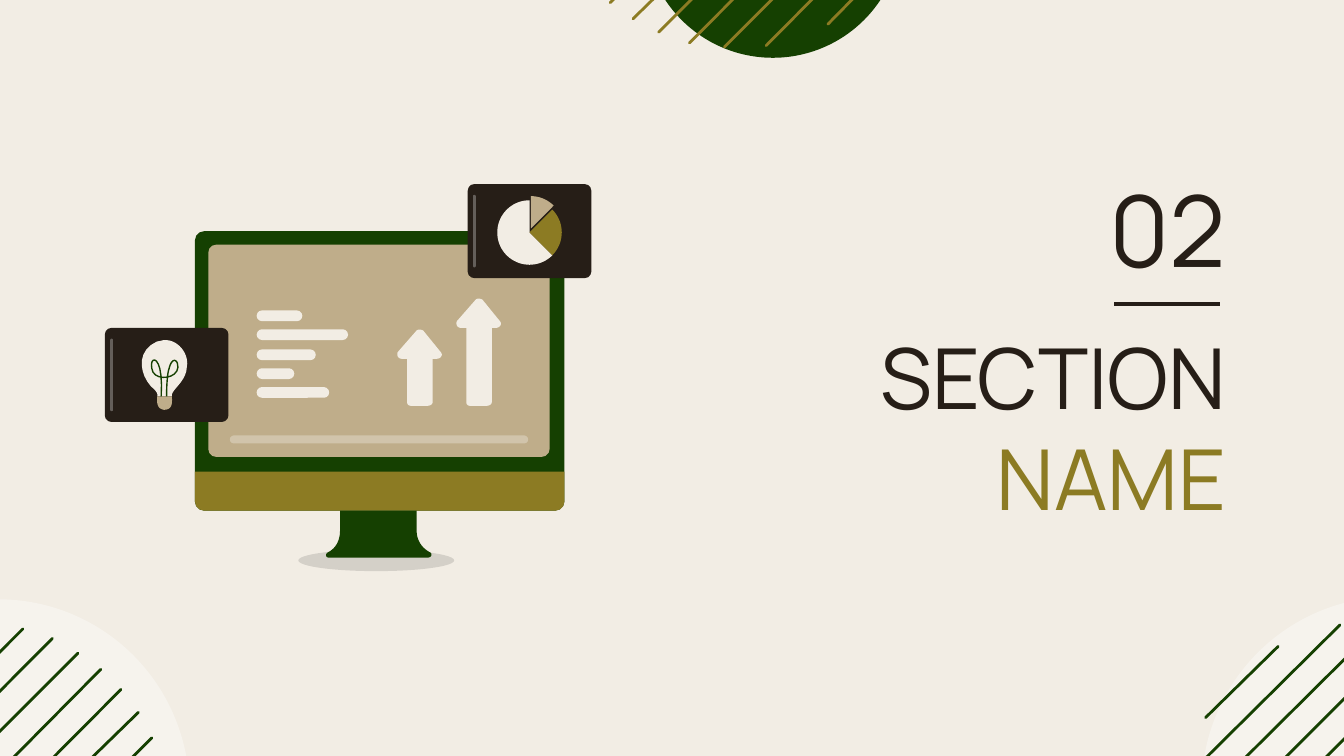
from math import cos, radians, sin

from lxml import etree
from pptx import Presentation
from pptx.dml.color import RGBColor
from pptx.enum.shapes import MSO_CONNECTOR, MSO_SHAPE
from pptx.enum.text import MSO_ANCHOR, PP_ALIGN
from pptx.oxml.ns import qn
from pptx.util import Inches, Pt

ELLIPSE = MSO_SHAPE.OVAL
ROUNDED = MSO_SHAPE.ROUNDED_RECTANGLE
ROUNDED_TOP = MSO_SHAPE.ROUND_2_SAME_RECTANGLE
STRAIGHT = MSO_CONNECTOR.STRAIGHT
TOP, MIDDLE = MSO_ANCHOR.TOP, MSO_ANCHOR.MIDDLE
RIGHT = PP_ALIGN.RIGHT

CREAM = RGBColor(0xF2, 0xED, 0xE4)
GREEN = RGBColor(0x15, 0x40, 0x01)
OLIVE = RGBColor(0x8C, 0x7B, 0x23)
TAN = RGBColor(0xBF, 0xAD, 0x8A)
DARK = RGBColor(0x26, 0x1E, 0x17)
WHITE = RGBColor(0xFF, 0xFF, 0xFF)
BLACK = RGBColor(0x00, 0x00, 0x00)

FONT = "Manrope"
NUMBER = [("02", DARK)]
TITLE = [("SECTION ", DARK), ("NAME", OLIVE)]

CORNERS = [
    ((-1.43, 4.46, 2.84, 2.86), WHITE, 36, GREEN, [
        (-1.54, 6.39, 0.17, 4.68), (-1.46, 6.61, 0.39, 4.75),
        (-1.36, 6.8, 0.58, 4.86), (-1.26, 7.01, 0.75, 4.98),
        (-1.02, 7.06, 0.9, 5.13), (-0.96, 7.24, 1.03, 5.3),
        (-0.73, 7.35, 1.13, 5.49)]),
    ((8.94, 4.44, 2.84, 2.86), WHITE, 36, GREEN, [
        (8.97, 5.34, 9.51, 4.81), (8.81, 5.8, 9.97, 4.65),
        (8.79, 6.11, 10.28, 4.63), (8.83, 6.37, 10.54, 4.66),
        (8.91, 6.59, 10.76, 4.74)]),
    ((4.79, -1.49, 1.92, 1.92), GREEN, 100, OLIVE, [
        (4.54, 0.02, 6.55, -1.97), (4.71, 0.14, 6.69, -1.79),
        (4.9, 0.24, 6.76, -1.61), (5.13, 0.32, 6.83, -1.39),
        (5.39, 0.35, 6.87, -1.13), (5.7, 0.34, 6.85, -0.82),
        (6.16, 0.18, 6.69, -0.36)]),
]

STAND = [(2.53, 3.95), (2.53, 3.8), (3.1, 3.8), (3.1, 3.95),
         (3.1, 4.02, 3.14, 4.08, 3.2, 4.11), (3.22, 4.12, 3.21, 4.15, 3.18, 4.15),
         (2.45, 4.15), (2.42, 4.15, 2.42, 4.12, 2.44, 4.11),
         (2.5, 4.08, 2.53, 4.02, 2.53, 3.95)]
BULB = [(1.23, 2.53), (1.21, 2.53, 1.19, 2.54, 1.17, 2.54),
        (0.99, 2.62, 1.05, 2.82, 1.15, 2.9), (1.18, 2.93, 1.17, 2.95, 1.17, 2.95),
        (1.28, 2.95), (1.26, 2.91, 1.39, 2.84, 1.39, 2.73),
        (1.41, 2.64, 1.33, 2.53, 1.23, 2.53)]
BULB_CAP = [(1.28, 2.95), (1.28, 2.99, 1.29, 3.05, 1.22, 3.05),
            (1.16, 3.04, 1.17, 2.98, 1.17, 2.95)]
FILAMENT = [(1.24, 2.95), (1.24, 2.95, 1.24, 2.78, 1.26, 2.74),
            (1.27, 2.69, 1.3, 2.66, 1.32, 2.7), (1.36, 2.82, 1.14, 2.85, 1.13, 2.74),
            (1.11, 2.64, 1.22, 2.63, 1.2, 2.95)]

TEXT_BARS = [(2.31, 0.34), (2.45, 0.68), (2.6, 0.44), (2.74, 0.28), (2.88, 0.54)]
ARROWS = [(2.95, 2.45), (3.39, 2.22)]
ARROW_BASE = 3.02
PIE_RADIUS = 0.24
PIE_SLICES = [(3.95, 1.7, -90, -45, TAN), (3.94, 1.73, 45, 270, CREAM),
              (3.94, 1.73, -45, 45, OLIVE)]

prs = Presentation()
prs.slide_width, prs.slide_height = Inches(10), Inches(10) * 9 // 16
slide = prs.slides.add_slide(prs.slide_layouts[6])
slide.background.fill.solid()
slide.background.fill.fore_color.rgb = CREAM


def paint(shape, color, opacity=100):
    shape.shadow.inherit = False
    shape.line.fill.background()
    shape.fill.solid()
    shape.fill.fore_color.rgb = color
    if opacity < 100:
        tint = shape._element.spPr.find(".//" + qn("a:srgbClr"))
        etree.SubElement(tint, qn("a:alpha"), val=str(opacity * 1000))


def add_preset(kind, box, color, opacity=100, radius=None):
    shape = slide.shapes.add_shape(kind, *map(Inches, box))
    if radius is not None:
        shape.adjustments[0] = radius / min(box[2:])
    paint(shape, color, opacity)
    return shape


def add_line(ends, color, width, cap="flat"):
    line = slide.shapes.add_connector(STRAIGHT, *map(Inches, ends))
    line.line.color.rgb = color
    line.line.width = Pt(width)
    properties = line._element.spPr
    properties.find(qn("a:ln")).set("cap", cap)
    etree.SubElement(properties, qn("a:effectLst"))


def flatten(outline, steps=10):
    points = [outline[0]]
    for part in outline[1:]:
        if len(part) == 2:
            points.append(part)
            continue
        curve = [points[-1], part[:2], part[2:4], part[4:]]
        for step in range(1, steps + 1):
            t = step / steps
            weights = ((1 - t) ** 3, 3 * t * (1 - t) ** 2, 3 * t * t * (1 - t), t ** 3)
            points.append(tuple(sum(w * p[axis] for w, p in zip(weights, curve))
                                for axis in (0, 1)))
    return points


def add_outline(outline, color, closed=True):
    points = [(Inches(x), Inches(y)) for x, y in flatten(outline)]
    builder = slide.shapes.build_freeform(*points[0])
    builder.add_line_segments(points[1:], close=closed)
    shape = builder.convert_to_shape()
    paint(shape, color)
    if not closed:
        shape.fill.background()
        shape.line.color.rgb = color
        shape.line.width = Pt(0.75)


def arrow_outline(left, top):
    base = ARROW_BASE - top
    parts = [(0.33, 0.17), (0.2, 0.01), (0.18, 0, 0.16, 0, 0.15, 0.01), (0.01, 0.17),
             (0, 0.19, 0.01, 0.22, 0.04, 0.22), (0.08, 0.22), (0.08, base - 0.03),
             (0.08, base - 0.01, 0.09, base, 0.11, base), (0.23, base),
             (0.25, base, 0.27, base - 0.01, 0.27, base - 0.03), (0.27, 0.22),
             (0.3, 0.22), (0.33, 0.22, 0.35, 0.19, 0.33, 0.17)]
    return [tuple(v + (top if i % 2 else left) for i, v in enumerate(part))
            for part in parts]


def slice_outline(x, y, start, end):
    return [(x, y)] + [(x + PIE_RADIUS * cos(radians(a)), y + PIE_RADIUS * sin(radians(a)))
                       for a in range(start, end + 1, 5)]


def add_card(left, top):
    add_preset(ROUNDED, (left, top, 0.92, 0.7), DARK, radius=0.05)
    add_preset(ROUNDED, (left + 0.04, top + 0.08, 0.02, 0.54), WHITE, 29, 0.01)


def add_text(box, runs, size, anchor):
    frame = slide.shapes.add_textbox(*map(Inches, box)).text_frame
    frame.word_wrap = True
    frame.vertical_anchor = anchor
    frame.margin_left = frame.margin_right = Inches(0.1)
    frame.margin_top = frame.margin_bottom = Inches(0.1)
    paragraph = frame.paragraphs[0]
    paragraph.alignment = RIGHT
    paragraph.font.name = FONT
    paragraph.font.size = Pt(size)
    for words, color in runs:
        run = paragraph.add_run()
        run.text = words
        run.font.color.rgb = color


for circle, color, opacity, hatch_color, hatching in CORNERS:
    add_preset(ELLIPSE, circle, color, opacity)
    for ends in hatching:
        add_line(ends, hatch_color, 1.5, "rnd")

add_text((5.97, 2.32, 3.25, 1.72), TITLE, 45, TOP)
add_text((8.04, 1.15, 1.18, 1.09), NUMBER, 53, MIDDLE)
add_line((8.29, 2.26, 9.08, 2.26), DARK, 2.25)

add_preset(ELLIPSE, (2.22, 4.09, 1.16, 0.16), BLACK, 12)
add_preset(ROUNDED, (1.45, 1.72, 2.75, 2.08), GREEN, radius=0.07)
add_preset(ROUNDED_TOP, (1.45, 3.51, 2.75, 0.29), OLIVE, radius=0.07).rotation = 180
add_outline(STAND, GREEN)
add_preset(ROUNDED, (1.55, 1.82, 2.54, 1.58), TAN, radius=0.06)
for top, width in TEXT_BARS:
    add_preset(ROUNDED, (1.91, top, width, 0.08), CREAM, radius=0.04)
for left, top in ARROWS:
    add_outline(arrow_outline(left, top), CREAM)
add_preset(ROUNDED, (1.71, 3.24, 2.22, 0.06), WHITE, 29, 0.03)

add_card(0.78, 2.44)
add_outline(BULB, CREAM)
add_outline(BULB_CAP, TAN)
add_outline(FILAMENT, GREEN, closed=False)

add_card(3.48, 1.37)
for x, y, start, end, color in PIE_SLICES:
    add_outline(slice_outline(x, y, start, end), color)

prs.save("out.pptx")
